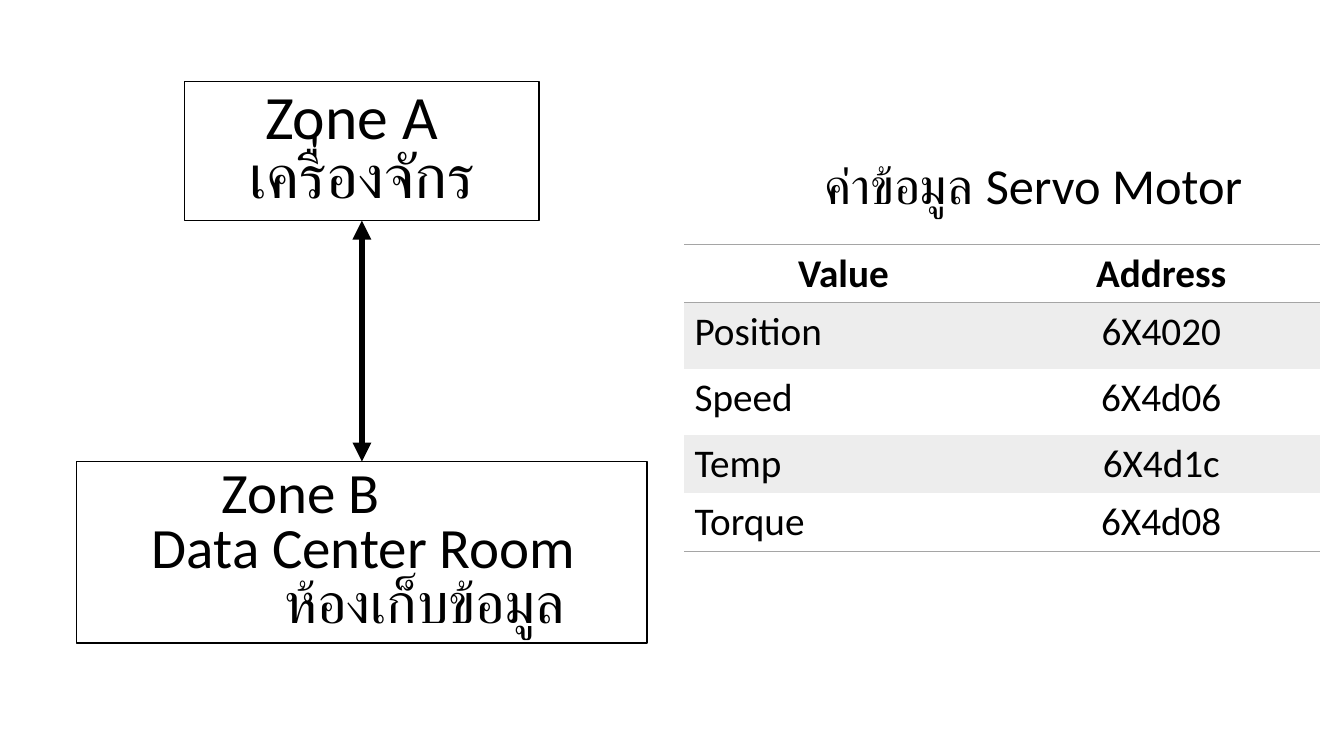
"""Build a slide linking two plant zones beside a table of servo motor addresses."""
from lxml import etree
from pptx import Presentation
from pptx.dml.color import RGBColor
from pptx.enum.shapes import MSO_CONNECTOR, MSO_SHAPE
from pptx.enum.text import MSO_ANCHOR, MSO_AUTO_SIZE, PP_ALIGN
from pptx.oxml.ns import qn
from pptx.util import Cm, Pt

LEFT, CENTER = PP_ALIGN.LEFT, PP_ALIGN.CENTER
TOP, MIDDLE = MSO_ANCHOR.TOP, MSO_ANCHOR.MIDDLE
NO_AUTOFIT = MSO_AUTO_SIZE.NONE
RECTANGLE, STRAIGHT = MSO_SHAPE.RECTANGLE, MSO_CONNECTOR.STRAIGHT
TITLE_ONLY = 5

BLACK, WHITE, RULE_GRAY, BAND_GRAY = "000000", "FFFFFF", "A5A5A5", "EDEDED"

TITLE = "ค่าข้อมูล Servo Motor"
TITLE_BOX = (20.52, 3.76, 12.7, 1.8)
ZONES = [
    {"box": (4.65, 2.06, 8.94, 3.5), "size": 44,
     "lines": [("Zone A", LEFT, 1.78), ("เครื่องจักร", CENTER, 0)]},
    {"box": (1.93, 11.63, 14.38, 4.57), "size": 40.7,
     "lines": [("Zone B", LEFT, 3.41), ("Data Center Room", LEFT, 1.65),
               ("ห้องเก็บข้อมูล", LEFT, 5.0)]},
]
ADDRESSES = [
    ("Value", "Address"),
    ("Position", "6X4020"),
    ("Speed", "6X4d06"),
    ("Temp", "6X4d1c"),
    ("Torque", "6X4d08"),
]
TABLE_LEFT, TABLE_TOP, COLUMN_WIDTH = 17.25, 6.17, 8.01
ROW_HEIGHTS = [1.37, 1.66, 1.68, 1.37, 1.37]


def color(value):
    return RGBColor.from_string(value)


def set_attributes(target, values):
    for name, value in values.items():
        setattr(target, name, value)


def format_text(paragraph, size, alignment=LEFT, bold=False):
    paragraph.alignment = alignment
    set_attributes(paragraph.font, {"name": "Calibri", "size": Pt(size), "bold": bold})
    paragraph.font.color.rgb = color(BLACK)


def add_title(slide):
    title = slide.shapes.title
    set_attributes(title, dict(zip(("left", "top", "width", "height"), map(Cm, TITLE_BOX))))
    title.text = TITLE
    set_attributes(title.text_frame, {"vertical_anchor": TOP, "auto_size": NO_AUTOFIT,
                                      "word_wrap": True})
    format_text(title.text_frame.paragraphs[0], 36)


def add_zone(slide, zone):
    shape = slide.shapes.add_shape(RECTANGLE, *map(Cm, zone["box"]))
    shape.shadow.inherit = False
    shape.fill.solid()
    shape.fill.fore_color.rgb = color(WHITE)
    shape.line.color.rgb = color(BLACK)
    shape.line.width = Pt(1)
    frame = shape.text_frame
    set_attributes(frame, {"word_wrap": True, "vertical_anchor": MIDDLE})
    frame.text = "\n".join(text for text, _, _ in zone["lines"])
    for paragraph, (_, alignment, indent) in zip(frame.paragraphs, zone["lines"]):
        paragraph.line_spacing = 0.8
        format_text(paragraph, zone["size"], alignment)
        paragraph._p.get_or_add_pPr().set("marL", str(Cm(indent)))
    return shape


def add_link(slide, upper, lower):
    center = upper.left + upper.width // 2
    link = slide.shapes.add_connector(STRAIGHT, center, upper.top + upper.height,
                                      center, lower.top)
    link.line.color.rgb = color(BLACK)
    link.line.width = Pt(4.5)
    line = link.line._get_or_add_ln()
    for end in ("a:headEnd", "a:tailEnd"):
        etree.SubElement(line, qn(end), type="triangle")
    etree.SubElement(link._element.spPr, qn("a:effectLst"))


def set_borders(cell, ruled_sides):
    properties = cell._tc.get_or_add_tcPr()
    for position, side in enumerate("LRTB"):
        border = etree.Element(qn("a:ln" + side), w=str(Pt(1)))
        if side in ruled_sides:
            fill = etree.SubElement(border, qn("a:solidFill"))
            etree.SubElement(fill, qn("a:srgbClr"), val=RULE_GRAY)
        else:
            etree.SubElement(border, qn("a:noFill"))
        properties.insert(position, border)


def add_addresses(slide):
    row_count, column_count = len(ADDRESSES), len(ADDRESSES[0])
    table = slide.shapes.add_table(
        row_count, column_count, Cm(TABLE_LEFT), Cm(TABLE_TOP),
        Cm(COLUMN_WIDTH * column_count), Cm(sum(ROW_HEIGHTS))).table
    set_attributes(table, {"first_row": False, "horz_banding": False})
    ruled_sides = {0: "TB", 1: "T", row_count - 1: "B"}
    for row, values in enumerate(ADDRESSES):
        table.rows[row].height = Cm(ROW_HEIGHTS[row])
        for column, value in enumerate(values):
            cell = table.cell(row, column)
            cell.text = value
            header = row == 0
            alignment = CENTER if header or column else LEFT
            format_text(cell.text_frame.paragraphs[0], 28, alignment, header)
            if row % 2:
                cell.fill.solid()
                cell.fill.fore_color.rgb = color(BAND_GRAY)
            else:
                cell.fill.background()
            set_borders(cell, ruled_sides.get(row, ""))
    for column in table.columns:
        column.width = Cm(COLUMN_WIDTH)


def main():
    presentation = Presentation()
    set_attributes(presentation, {"slide_width": Cm(33.87), "slide_height": Cm(19.05)})
    slide = presentation.slides.add_slide(presentation.slide_layouts[TITLE_ONLY])
    add_title(slide)
    upper, lower = [add_zone(slide, zone) for zone in ZONES]
    add_link(slide, upper, lower)
    add_addresses(slide)
    presentation.save("out.pptx")


if __name__ == "__main__":
    main()
